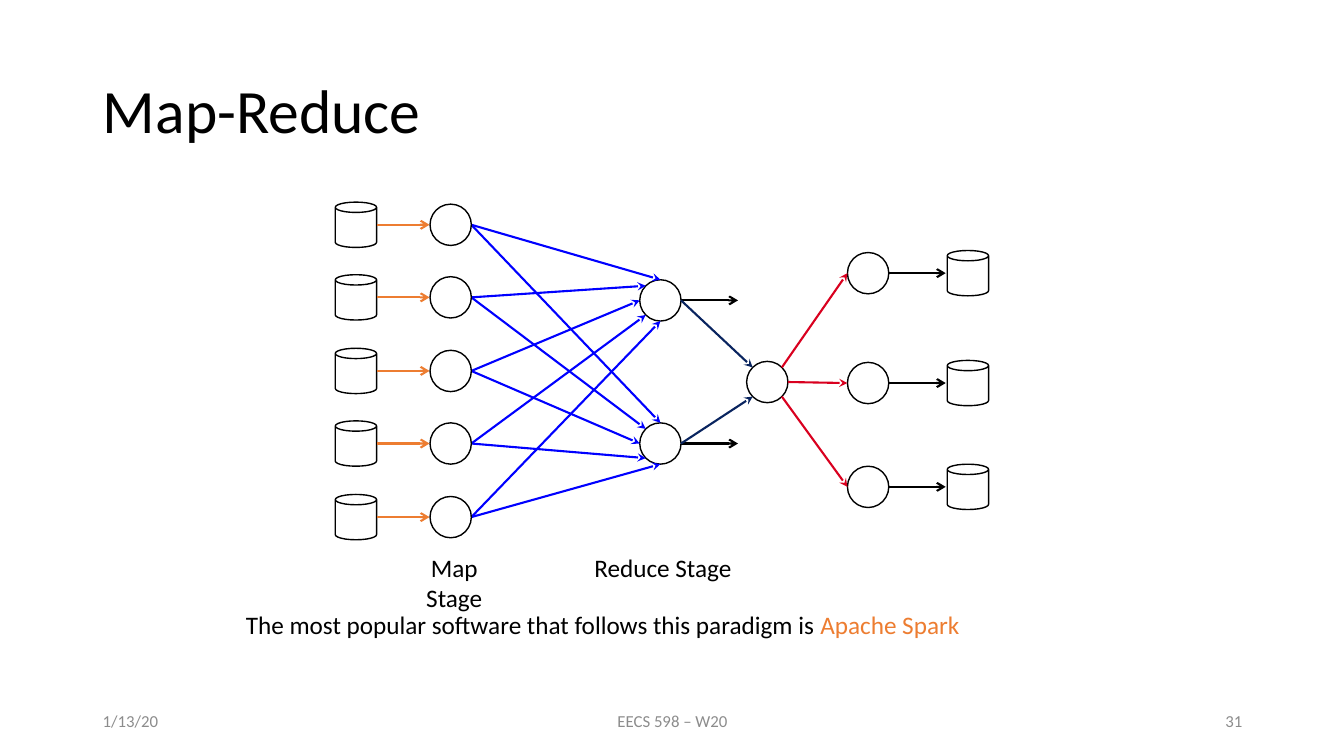
"""Build the Map-Reduce data-flow slide."""
from math import cos, radians, sin

from lxml.etree import SubElement
from pptx import Presentation
from pptx.dml.color import RGBColor
from pptx.enum.shapes import MSO_CONNECTOR as CONN, MSO_SHAPE as SHAPE
from pptx.enum.text import MSO_ANCHOR as ANCHOR, PP_ALIGN as ALIGN
from pptx.oxml.ns import qn
from pptx.util import Emu, Pt

FONT = "Calibri"
BLACK, GREY = "000000", "8C8C8C"
ORANGE, BLUE, NAVY, RED = "ED7D31", "0000FF", "09245F", "D9001F"
DIAMETER, CAN_HEIGHT = 41, 45


def px(n):
    """Convert px, at 100 to the inch, to EMU."""
    return Emu(round(n * 9144))


def rgb(color):
    """Turn a hex string into a colour."""
    return RGBColor.from_string(color)


def write(tf, *runs, size=18, align=ALIGN.LEFT, anchor=ANCHOR.TOP, spacing=None):
    """Fill a text frame with one paragraph of (text, colour) runs."""
    tf.word_wrap = True
    tf.vertical_anchor = anchor
    p = tf.paragraphs[0]
    p.alignment = align
    p.line_spacing = spacing
    for text, color in runs:
        r = p.add_run()
        r.text = text
        r.font.name = FONT
        r.font.size = Pt(size)
        r.font.color.rgb = rgb(color)


def textbox(s, left, top, width, *runs, **style):
    """Add a one-paragraph text box."""
    box = s.shapes.add_textbox(px(left), px(top), px(width), px(40))
    write(box.text_frame, *runs, **style)


def node(s, center, kind=SHAPE.OVAL, height=DIAMETER):
    """Add an outlined shape around a centre point."""
    x, y = center
    sp = s.shapes.add_shape(kind, px(x - DIAMETER / 2), px(y - height / 2),
                            px(DIAMETER), px(height))
    sp.shadow.inherit = False
    sp.fill.background()
    sp.line.color.rgb = rgb(BLACK)
    sp.line.width = Pt(1)


def can(s, center):
    """Add a storage cylinder around a centre point."""
    node(s, center, SHAPE.CAN, CAN_HEIGHT)


def rim(center, degrees):
    """Return the point of a circle at an angle, counterclockwise from the right."""
    a = radians(degrees)
    return (center[0] + DIAMETER / 2 * cos(a), center[1] - DIAMETER / 2 * sin(a))


def arrow(s, start, end, color, head="stealth"):
    """Add a straight arrow between two points."""
    c = s.shapes.add_connector(CONN.STRAIGHT, *map(px, start + end))
    c.line.color.rgb = rgb(color)
    c.line.width = Pt(1.5)
    SubElement(c.line._get_or_add_ln(), qn("a:tailEnd"), type=head)
    SubElement(c._element.spPr, qn("a:effectLst"))


def draw_map_stage(s, mappers, reducers):
    """Draw inputs, mappers, reducers and the shuffle between them."""
    for reducer in reducers:
        node(s, reducer)
    for i, mapper in enumerate(mappers):
        x, y = mapper
        for reducer in reducers:
            arrow(s, rim(mapper, 0), rim(reducer, 90 + 45 * i), BLUE)
        node(s, mapper)
        can(s, (353, y))
        arrow(s, (374, y), (426, y), ORANGE, "arrow")


def draw_reduce_stage(s, reducers, merge, outputs):
    """Draw the merge of the reducers and the fan-out to storage."""
    node(s, merge)
    for reducer, angle in zip(reducers, (135, 225)):
        x, y = reducer
        arrow(s, rim(reducer, 0), (732, y), BLACK, "arrow")
        arrow(s, rim(reducer, 0), rim(merge, angle), NAVY)
    for output, angle in zip(outputs, (45, 0, -45)):
        x, y = output
        node(s, output)
        arrow(s, rim(merge, angle), rim(output, 180), RED)
        can(s, (960, y))
        arrow(s, rim(output, 0), (938, y), BLACK, "arrow")


def main():
    """Build and save the slide."""
    prs = Presentation()
    prs.slide_width, prs.slide_height = px(1333), px(750)
    s = prs.slides.add_slide(prs.slide_layouts[5])
    title = s.shapes.title
    title.left, title.top, title.width, title.height = map(px, (92, 40, 1150, 145))
    write(title.text_frame, ("Map-Reduce", BLACK), size=44,
          anchor=ANCHOR.MIDDLE, spacing=0.9)

    mappers = [(447, 223 + 145 * i // 2) for i in range(5)]
    reducers = [(655, 298), (655, 440)]
    outputs = [(861, y) for y in (271, 380, 483)]
    draw_map_stage(s, mappers, reducers)
    draw_reduce_stage(s, reducers, (761, 379), outputs)

    textbox(s, 389, 543, 123, ("Map Stage", BLACK), align=ALIGN.CENTER)
    textbox(s, 579, 543, 157, ("Reduce Stage", BLACK), align=ALIGN.CENTER)
    textbox(s, 234, 600, 737,
            ("The most popular software that follows this paradigm is ", BLACK),
            ("Apache Spark", ORANGE))
    for left, width, text, align in ((92, 300, "1/13/20", ALIGN.LEFT),
                                     (442, 450, "EECS 598 – W20", ALIGN.CENTER),
                                     (942, 300, "31", ALIGN.RIGHT)):
        textbox(s, left, 695, width, (text, GREY), size=12, align=align,
                anchor=ANCHOR.MIDDLE)
    prs.save("out.pptx")


if __name__ == "__main__":
    main()
